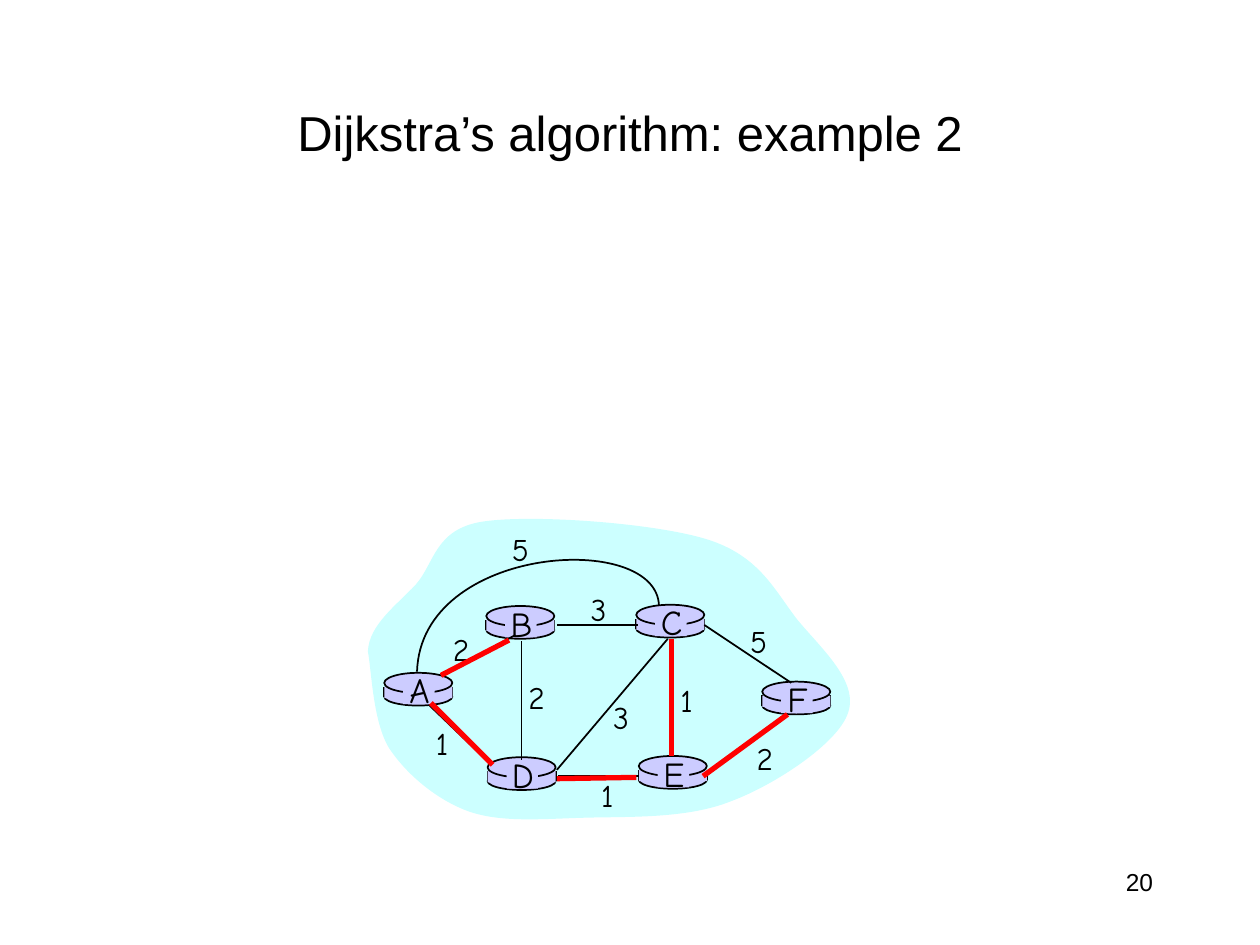
from lxml import etree
from pptx import Presentation
from pptx.dml.color import RGBColor
from pptx.enum.shapes import MSO_CONNECTOR, MSO_SHAPE
from pptx.enum.text import MSO_ANCHOR, MSO_AUTO_SIZE, PP_ALIGN
from pptx.oxml.ns import qn
from pptx.util import Inches, Pt

BLACK = RGBColor(0x00, 0x00, 0x00)
RED = RGBColor(0xFF, 0x00, 0x00)
CLOUD_BLUE = RGBColor(0xCC, 0xFF, 0xFF)
ROUTER_VIOLET = RGBColor(0xCC, 0xCC, 0xFF)
ROUTER_WIDTH = 0.54

presentation = Presentation()
presentation.slide_width = Inches(10)
presentation.slide_height = Inches(7.5)
slide = presentation.slides.add_slide(presentation.slide_layouts[5])
shapes = slide.shapes


def add_line(start, end, color=BLACK, width=1):
    x1, y1, x2, y2 = (Inches(value) for value in (*start, *end))
    line = shapes.add_connector(MSO_CONNECTOR.STRAIGHT, x1, y1, x2, y2)
    line.line.color.rgb = color
    line.line.width = Pt(width)
    etree.SubElement(line._element.spPr, qn("a:effectLst"))


def add_centered_label(text, x, y, width, height, size):
    """Write text in a box whose centre is x, y."""
    box = shapes.add_textbox(Inches(x - width / 2), Inches(y - height / 2),
                             Inches(width), Inches(height))
    box.text_frame.word_wrap = False
    box.text_frame.auto_size = MSO_AUTO_SIZE.SHAPE_TO_FIT_TEXT
    box.text_frame.text = text
    paragraph = box.text_frame.paragraphs[0]
    paragraph.alignment = PP_ALIGN.CENTER
    font = paragraph.runs[0].font
    font.name = "Comic Neue"
    font.size = Pt(size)
    font.color.rgb = BLACK


# Title and slide number
title = shapes.title
title.left, title.top = Inches(0.75), Inches(0.42)
title.width, title.height = Inches(8.5), Inches(1.25)
title.text_frame.text = "Dijkstra’s algorithm: example 2"
title.text_frame.vertical_anchor = MSO_ANCHOR.MIDDLE

number = shapes.add_textbox(Inches(7.17), Inches(6.83), Inches(2.08), Inches(0.5))
number.text_frame.word_wrap = True
number.text_frame.text = "20"

for shape, size, alignment in ((title, 28, PP_ALIGN.CENTER),
                               (number, 14, PP_ALIGN.RIGHT)):
    paragraph = shape.text_frame.paragraphs[0]
    paragraph.alignment = alignment
    font = paragraph.runs[0].font
    font.name = "Arial"
    font.size = Pt(size)
    font.color.rgb = BLACK

# Network cloud and the arc from C to A: a start point, then two
# control points and an end point for each Bezier segment
cloud = [
    (2.92, 5.17),
    (2.93, 4.96), (3.14, 4.81), (3.3, 4.64),
    (3.45, 4.47), (3.45, 4.2), (3.83, 4.14),
    (4.22, 4.08), (5.19, 4.15), (5.61, 4.28),
    (6.03, 4.41), (6.15, 4.69), (6.33, 4.92),
    (6.52, 5.15), (6.82, 5.41), (6.73, 5.66),
    (6.65, 5.9), (6.15, 6.23), (5.8, 6.36),
    (5.45, 6.5), (4.99, 6.48), (4.64, 6.49),
    (4.3, 6.5), (3.98, 6.53), (3.72, 6.44),
    (3.47, 6.35), (3.23, 6.15), (3.09, 5.94),
    (2.96, 5.73), (2.95, 5.33), (2.92, 5.17),
]
arc = [(5.23, 4.81), (5.22, 4.21), (3.34, 4.32), (3.31, 5.33)]
for points, closed in ((cloud, True), (arc, False)):
    corners = [(Inches(x), Inches(y)) for x, y in points]
    builder = shapes.build_freeform(*corners[0])
    builder.add_line_segments(corners[1:], close=closed)
    curve = builder.convert_to_shape()
    # Turn every three straight segments into one cubic curve
    segments = list(curve._element.iter(qn("a:lnTo")))
    for first, second, third in zip(*[iter(segments)] * 3):
        first.tag = qn("a:cubicBezTo")
        for segment in (second, third):
            first.append(segment[0])
            segment.getparent().remove(segment)
    curve.shadow.inherit = False
    if closed:
        curve.fill.solid()
        curve.fill.fore_color.rgb = CLOUD_BLUE
        curve.line.fill.background()
    else:
        curve.fill.background()
        curve.line.color.rgb = BLACK
        curve.line.width = Pt(1)

# Routers: left and top of each lower disc
routers = {"A": (3.05, 5.46), "D": (3.87, 6.13), "B": (3.86, 4.93),
           "C": (5.05, 4.92), "E": (5.07, 6.12), "F": (6.05, 5.53)}
# Kind, offset from the lower disc, size, outlined
router_parts = (
    (MSO_SHAPE.OVAL, 0, 0, ROUTER_WIDTH, 0.14, True),
    (MSO_SHAPE.RECTANGLE, 0, -0.01, ROUTER_WIDTH, 0.09, False),
    (MSO_SHAPE.OVAL, 0, -0.12, ROUTER_WIDTH, 0.16, True),
    (MSO_SHAPE.RECTANGLE, 0.15, -0.1, 0.25, 0.23, False),
)
for letter, (left, top) in routers.items():
    for side in (left, left + ROUTER_WIDTH):
        add_line((side, top - 0.01), (side, top + 0.07))
    for kind, dx, dy, width, height, outlined in router_parts:
        part = shapes.add_shape(kind, Inches(left + dx), Inches(top + dy),
                                Inches(width), Inches(height))
        part.shadow.inherit = False
        part.fill.solid()
        part.fill.fore_color.rgb = ROUTER_VIOLET
        if outlined:
            part.line.color.rgb = BLACK
            part.line.width = Pt(1)
        else:
            part.line.fill.background()
    add_centered_label(letter, left + 0.28, top + 0.02, 0.37, 0.44, 20)

# Links between routers
links = [
    ((3.5, 5.36), (4.09, 5.04)), ((5.34, 5.08), (5.34, 5.99)),
    ((4.14, 5.09), (4.14, 6.03)), ((4.42, 6.11), (5.3, 5.07)),
    ((5.61, 6.14), (6.25, 5.67)), ((5.07, 6.16), (4.43, 6.16)),
    ((3.89, 6.06), (3.41, 5.6)), ((5.06, 4.96), (4.42, 4.96)),
    ((6.28, 5.42), (5.59, 4.96)),
]
for start, end in links:
    add_line(start, end)

# Link costs, by centre
costs = [
    ("2", 3.66, 5.15), ("2", 4.26, 5.53), ("1", 3.51, 5.9), ("3", 4.93, 5.69),
    ("1", 4.82, 6.31), ("1", 5.45, 5.56), ("2", 6.07, 6.02), ("5", 6.02, 5.09),
    ("3", 4.75, 4.83), ("5", 4.13, 4.36),
]
for cost, x, y in costs:
    add_centered_label(cost, x, y, 0.33, 0.4, 18)

# Shortest-path tree
tree_links = [
    ((3.42, 5.58), (3.91, 6.07)), ((4.42, 6.18), (5.05, 6.17)),
    ((3.5, 5.36), (4.04, 5.08)), ((5.33, 6), (5.33, 5.07)),
    ((5.58, 6.16), (6.25, 5.67)),
]
for start, end in tree_links:
    add_line(start, end, RED, 3)

presentation.save("out.pptx")
